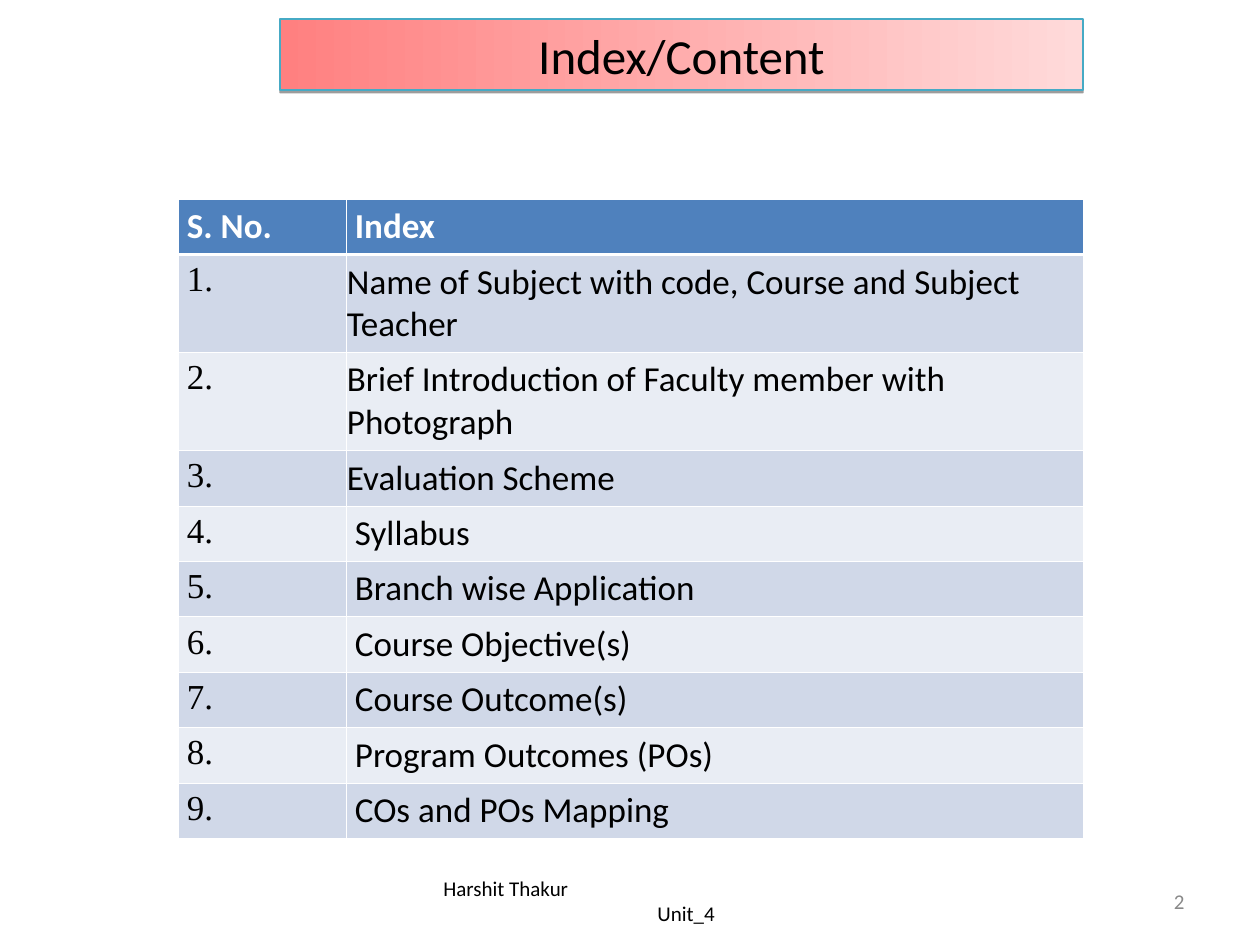
from dataclasses import dataclass

from lxml import etree
from pptx import Presentation
from pptx.dml.color import RGBColor
from pptx.enum.text import MSO_ANCHOR, PP_ALIGN
from pptx.oxml.ns import qn
from pptx.util import Emu, Pt

LEFT, CENTER, RIGHT = PP_ALIGN.LEFT, PP_ALIGN.CENTER, PP_ALIGN.RIGHT
TOP, MIDDLE = MSO_ANCHOR.TOP, MSO_ANCHOR.MIDDLE
EMU_PER_INCH, PX_PER_INCH = 914400, 126
TITLE_ONLY = 5


@dataclass(frozen=True)
class Theme:
    """Colours, fonts and type sizes of the slide."""
    ink: str = "000000"
    paper: str = "FFFFFF"
    muted: str = "898989"
    banner_start: str = "FF8080"
    banner_end: str = "FFDADA"
    banner_edge: str = "46AAC5"
    header: str = "4F81BD"
    bands: tuple = ("D0D8E8", "E9EDF4")
    body_font: str = "Calibri"
    number_font: str = "Times New Roman"
    title_size: int = 28
    table_size: int = 20
    footer_size: int = 12
    grid_width: float = 0.45
    header_rule: float = 1.47


THEME = Theme()
TOPICS = [
    "Name of Subject with code, Course and Subject Teacher",
    "Brief Introduction of Faculty member with Photograph",
    "Evaluation Scheme",
    "Syllabus",
    "Branch wise Application",
    "Course Objective(s)",
    "Course Outcome(s)",
    "Program Outcomes (POs)",
    "COs and POs Mapping",
]
FLUSH_TOPICS = 3
TWO_LINE_TOPICS = 2


def px(length):
    """Turn a length in px into EMU."""
    return Emu(round(length * EMU_PER_INCH / PX_PER_INCH))


def write(paragraph, text, size, color=THEME.ink, font=THEME.body_font,
          align=LEFT, bold=False):
    """Add one formatted run to a paragraph."""
    paragraph.alignment = align
    run = paragraph.add_run()
    run.text = text
    run.font.size = Pt(size)
    run.font.name = font
    run.font.bold = bold
    run.font.color.rgb = RGBColor.from_string(color)


def add_banner(slide, left, top, width, height):
    """Place the title on a gradient band with a thin drop shadow."""
    title = slide.shapes.title
    title.left, title.top, title.width, title.height = map(
        px, (left, top, width, height))
    title.fill.gradient()
    title.fill.gradient_angle = 0
    colors = (THEME.banner_start, THEME.banner_end)
    for position, (stop, color) in enumerate(zip(title.fill.gradient_stops, colors)):
        stop.position = position
        stop.color.rgb = RGBColor.from_string(color)
    title.line.color.rgb = RGBColor.from_string(THEME.banner_edge)
    title.line.width = Pt(0.75)
    title.shadow.inherit = False
    effects = title.element.spPr.find(qn("a:effectLst"))
    shadow = etree.SubElement(effects, qn("a:outerShdw"), blurRad="0",
                              dist=str(Pt(1.6)), dir="5400000", rotWithShape="0")
    shade = etree.SubElement(shadow, qn("a:srgbClr"), val=THEME.ink)
    etree.SubElement(shade, qn("a:alpha"), val="38000")
    title.text_frame.vertical_anchor = MIDDLE
    write(title.text_frame.paragraphs[0], "Index/Content", THEME.title_size,
          align=CENTER)


def set_borders(cell, top_width, bottom_width):
    """Draw the four white edges of a cell."""
    widths = {"L": THEME.grid_width, "R": THEME.grid_width,
              "T": top_width, "B": bottom_width}
    properties = cell._tc.get_or_add_tcPr()
    for side, width in widths.items():
        edge = etree.SubElement(properties, qn(f"a:ln{side}"), w=str(Pt(width)))
        fill = etree.SubElement(edge, qn("a:solidFill"))
        etree.SubElement(fill, qn("a:srgbClr"), val=THEME.paper)


def fill_cell(cell, row, text, font, flush):
    """Fill one cell of the index with its text, colour and edges."""
    is_header = row == 0
    grid, rule = THEME.grid_width, THEME.header_rule
    set_borders(cell, rule if row == 1 else grid, rule if is_header else grid)
    cell.fill.solid()
    band = THEME.header if is_header else THEME.bands[(row - 1) % 2]
    cell.fill.fore_color.rgb = RGBColor.from_string(band)
    cell.margin_left = cell.margin_right = px(1 if flush else 9)
    cell.margin_top = cell.margin_bottom = px(6)
    cell.vertical_anchor = MIDDLE if flush else TOP
    write(cell.text_frame.paragraphs[0], text, THEME.table_size,
          THEME.paper if is_header else THEME.ink, font, bold=is_header)


def add_index(slide, left, top, width, height):
    """Place the numbered index; two-line topics take the taller rows."""
    row_count = len(TOPICS) + 1
    table = slide.shapes.add_table(
        row_count, 2, px(left), px(top), px(width), px(height)).table
    table.horz_banding = False
    number_width, tall = 168, 98
    short = (height - TWO_LINE_TOPICS * tall) / (row_count - TWO_LINE_TOPICS)
    table.columns[0].width = px(number_width)
    table.columns[1].width = px(width - number_width)
    entries = [("S. No.", "Index")]
    entries += [(f"{number}.", topic) for number, topic in enumerate(TOPICS, 1)]
    for row, (number, topic) in enumerate(entries):
        table.rows[row].height = px(tall if 1 <= row <= TWO_LINE_TOPICS else short)
        number_font = THEME.number_font if row else THEME.body_font
        fill_cell(table.cell(row, 0), row, number, number_font, False)
        fill_cell(table.cell(row, 1), row, topic, THEME.body_font,
                  1 <= row <= FLUSH_TOPICS)


def add_footer_box(slide, left, top, width, height):
    """Add a wrapped, vertically centred text box and return its text frame."""
    frame = slide.shapes.add_textbox(
        px(left), px(top), px(width), px(height)).text_frame
    frame.word_wrap = True
    frame.vertical_anchor = MIDDLE
    return frame


def add_footer(slide, left, top, width, height):
    """Place the author and unit at the left and the page number at the right."""
    credit_width, page_width = 399, 294
    credit = add_footer_box(slide, left, top, credit_width, height)
    write(credit.paragraphs[0], "Harshit Thakur", THEME.footer_size)
    unit = credit.add_paragraph()
    unit._p.get_or_add_pPr().set("marL", str(px(214)))
    write(unit, "Unit_4", THEME.footer_size)
    page = add_footer_box(slide, left + width - page_width, top, page_width, height)
    write(page.paragraphs[0], "2", THEME.footer_size, THEME.muted, align=RIGHT)


def main():
    """Build the index slide and save it."""
    deck = Presentation()
    deck.slide_width, deck.slide_height = px(1260), px(945)
    slide = deck.slides.add_slide(deck.slide_layouts[TITLE_ONLY])
    add_banner(slide, 280, 19, 803, 71)
    add_index(slide, 178, 199, 905, 640)
    add_footer(slide, 431, 876, 766, 50)
    deck.save("out.pptx")


if __name__ == "__main__":
    main()
